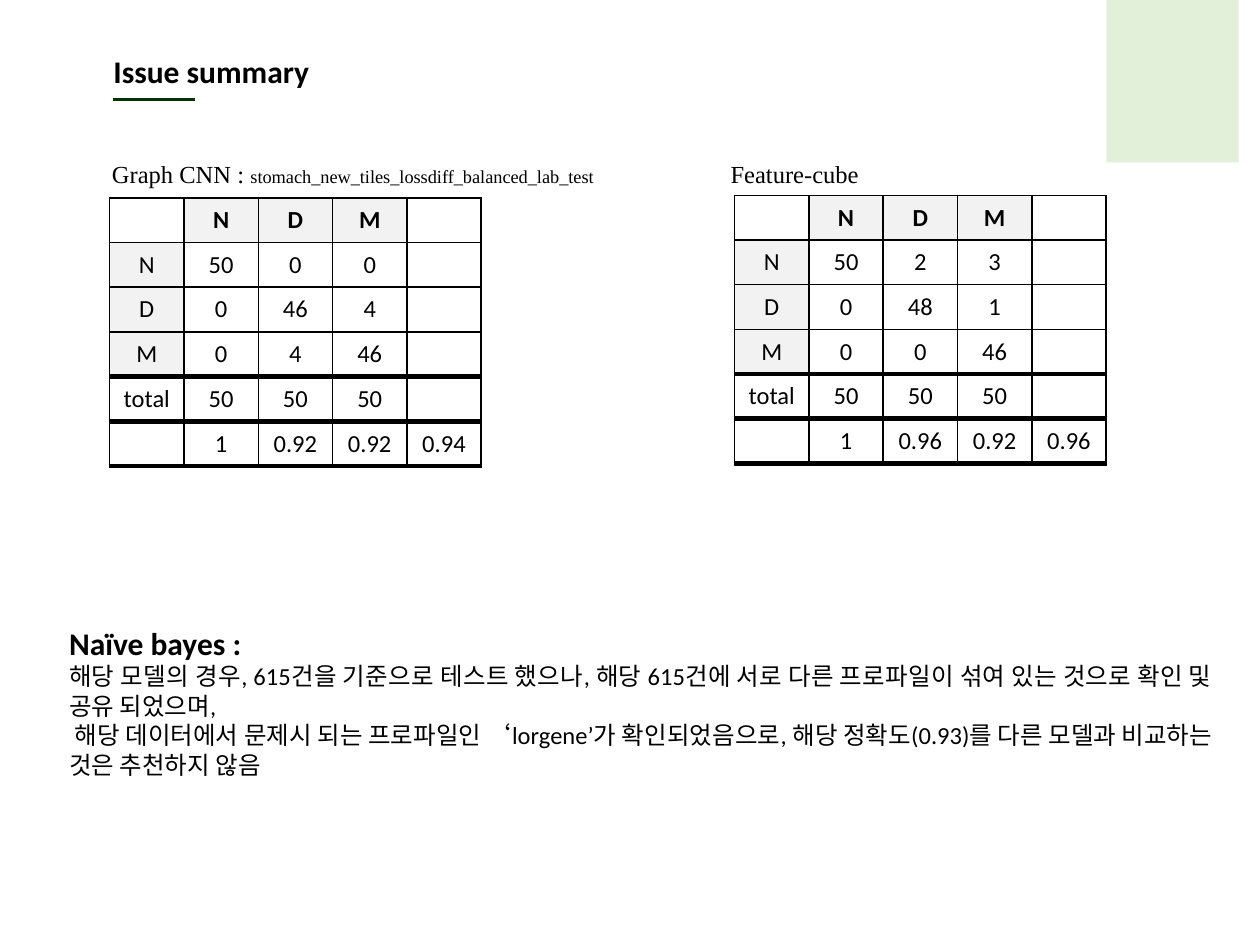
from dataclasses import dataclass

from lxml.etree import SubElement
from pptx import Presentation
from pptx.dml.color import RGBColor
from pptx.enum.shapes import MSO_CONNECTOR, MSO_SHAPE
from pptx.enum.text import MSO_ANCHOR as Anchor, MSO_AUTO_SIZE as AutoSize, PP_ALIGN as Align
from pptx.oxml.ns import qn
from pptx.util import Inches, Pt

UNIT = 0.1  # grid step in inches: the slide has 100 columns and 75 rows


@dataclass(frozen=True)
class Theme:
    ink: str = "000000"
    shade: str = "F2F2F2"
    corner: str = "E2F0D9"
    rule: str = "003300"
    sans: str = "Calibri"
    serif: str = "Times New Roman"
    heading: float = 18
    body: float = 14
    small: float = 10.5
    thin: float = 1
    thick: float = 3


@dataclass(frozen=True)
class Area:
    column: float
    row: float
    columns: float
    rows: float

    def lengths(self) -> list:
        return [grid(n) for n in (self.column, self.row, self.columns, self.rows)]


@dataclass(frozen=True)
class Result:
    """A confusion matrix with its caption and accuracy figures."""
    caption: str
    source: str
    caption_area: Area
    table_area: Area
    counts: tuple
    accuracy: tuple


THEME = Theme()
CLASSES = ("N", "D", "M")
RESULTS = (
    Result("Feature-cube", "", Area(57, 12.1, 16.1, 3.4), Area(58.3, 15.5, 29.5, 21.3),
           (("50", "2", "3"), ("0", "48", "1"), ("0", "0", "46")),
           ("1", "0.96", "0.92", "0.96")),
    Result("Graph CNN : ", "stomach_new_tiles_lossdiff_balanced_lab_test",
           Area(7.9, 12.1, 49, 3.4), Area(8.7, 15.7, 29.5, 21.3),
           (("50", "0", "0"), ("0", "46", "4"), ("0", "4", "46")),
           ("1", "0.92", "0.92", "0.94")),
)
NOTES = (
    "해당 모델의 경우, 615건을 기준으로 테스트 했으나, 해당 615건에 서로 다른 프로파일이 "
    "섞여 있는 것으로 확인 및 공유 되었으며,",
    " 해당 데이터에서 문제시 되는 프로파일인 ‘lorgene’가 확인되었음으로, "
    "해당 정확도(0.93)를 다른 모델과 비교하는 것은 추천하지 않음",
)


def grid(steps: float) -> int:
    return Inches(steps * UNIT)


def color(value: str) -> RGBColor:
    return RGBColor.from_string(value)


def write(para, text: str, *, size: float = THEME.body, font: str = THEME.sans,
          bold: bool = False, align=Align.LEFT) -> None:
    """Add one formatted span to a paragraph."""
    para.alignment = align
    span = para.add_run()
    span.text = text
    span.font.size, span.font.name, span.font.bold = Pt(size), font, bold
    span.font.color.rgb = color(THEME.ink)


def add_text_frame(page, area: Area):
    frame = page.shapes.add_textbox(*area.lengths()).text_frame
    frame.word_wrap = True
    frame.auto_size = AutoSize.SHAPE_TO_FIT_TEXT
    return frame


def set_borders(cell, top: float, bottom: float) -> None:
    properties = cell._tc.get_or_add_tcPr()
    widths = {"L": THEME.thin, "R": THEME.thin, "T": top, "B": bottom}
    for side, width in widths.items():
        line = SubElement(properties, qn(f"a:ln{side}"), w=str(Pt(width)))
        fill = SubElement(line, qn("a:solidFill"))
        SubElement(fill, qn("a:srgbClr"), val=THEME.ink)


def draw_cell(cell, text: str, row: int, column: int) -> None:
    in_header = row == 0 and 1 <= column <= len(CLASSES)
    in_stub = column == 0 and 1 <= row <= len(CLASSES)
    last_count = len(CLASSES)
    set_borders(cell, top=THEME.thick if row > last_count else THEME.thin,
                bottom=THEME.thick if row >= last_count else THEME.thin)
    if in_header or in_stub:
        cell.fill.solid()
        cell.fill.fore_color.rgb = color(THEME.shade)
    else:
        cell.fill.background()
    cell.margin_left = cell.margin_right = grid(0.5)
    cell.margin_top = cell.margin_bottom = 0
    cell.vertical_anchor = Anchor.MIDDLE
    if text:
        write(cell.text_frame.paragraphs[0], text, bold=in_header, align=Align.CENTER)


def draw_matrix(page, result: Result) -> None:
    totals = [str(sum(map(int, column))) for column in zip(*result.counts)]
    if result.caption == RESULTS[0].caption:
        totals = ["50"] * len(CLASSES)  # this model's totals are stated per class
    rows = [("", *CLASSES, ""),
            *((name, *counts, "") for name, counts in zip(CLASSES, result.counts)),
            ("total", *totals, ""),
            ("", *result.accuracy)]
    table = page.shapes.add_table(len(rows), len(rows[0]), *result.table_area.lengths()).table
    table.first_row = table.horz_banding = False
    for row, texts in enumerate(rows):
        for column, text in enumerate(texts):
            draw_cell(table.cell(row, column), text, row, column)


def draw_caption(page, result: Result) -> None:
    para = add_text_frame(page, result.caption_area).paragraphs[0]
    write(para, result.caption, font=THEME.serif)
    if result.source:
        write(para, result.source, font=THEME.serif, size=THEME.small)


def draw_title(page, text: str, area: Area) -> None:
    title = page.shapes.title
    title.left, title.top, title.width, title.height = area.lengths()
    frame = title.text_frame
    frame.auto_size = AutoSize.NONE
    frame.vertical_anchor = Anchor.TOP
    write(frame.paragraphs[0], text, size=THEME.heading, bold=True)


def draw_rule(page, left: float, right: float, row: float) -> None:
    rule = page.shapes.add_connector(MSO_CONNECTOR.STRAIGHT, grid(left), grid(row),
                                     grid(right), grid(row))
    rule.line.color.rgb = color(THEME.rule)
    rule.line.width = Pt(2.25)
    SubElement(rule._element.spPr, qn("a:effectLst"))


def draw_corner(page, area: Area) -> None:
    corner = page.shapes.add_shape(MSO_SHAPE.RECTANGLE, *area.lengths())
    corner.shadow.inherit = False
    corner.fill.solid()
    corner.fill.fore_color.rgb = color(THEME.corner)
    corner.line.fill.background()


def draw_notes(page, area: Area) -> None:
    frame = add_text_frame(page, area)
    write(frame.paragraphs[0], "Naïve bayes : ", size=THEME.heading, bold=True,
          align=Align.JUSTIFY)
    for note in NOTES:
        write(frame.add_paragraph(), note, align=Align.JUSTIFY)


def main() -> None:
    deck = Presentation()
    deck.slide_width, deck.slide_height = grid(100), grid(75)
    page = deck.slides.add_slide(deck.slide_layouts.get_by_name("Title Only"))
    draw_corner(page, Area(87.8, -1.5, 10.5, 14.4))
    for result in RESULTS:
        draw_matrix(page, result)
        draw_caption(page, result)
    draw_rule(page, left=9, right=15.5, row=7.9)
    draw_title(page, "Issue summary", Area(8, 3.6, 31.3, 4))
    draw_notes(page, Area(4.5, 49, 92.7, 13.5))
    deck.save("out.pptx")


if __name__ == "__main__":
    main()
